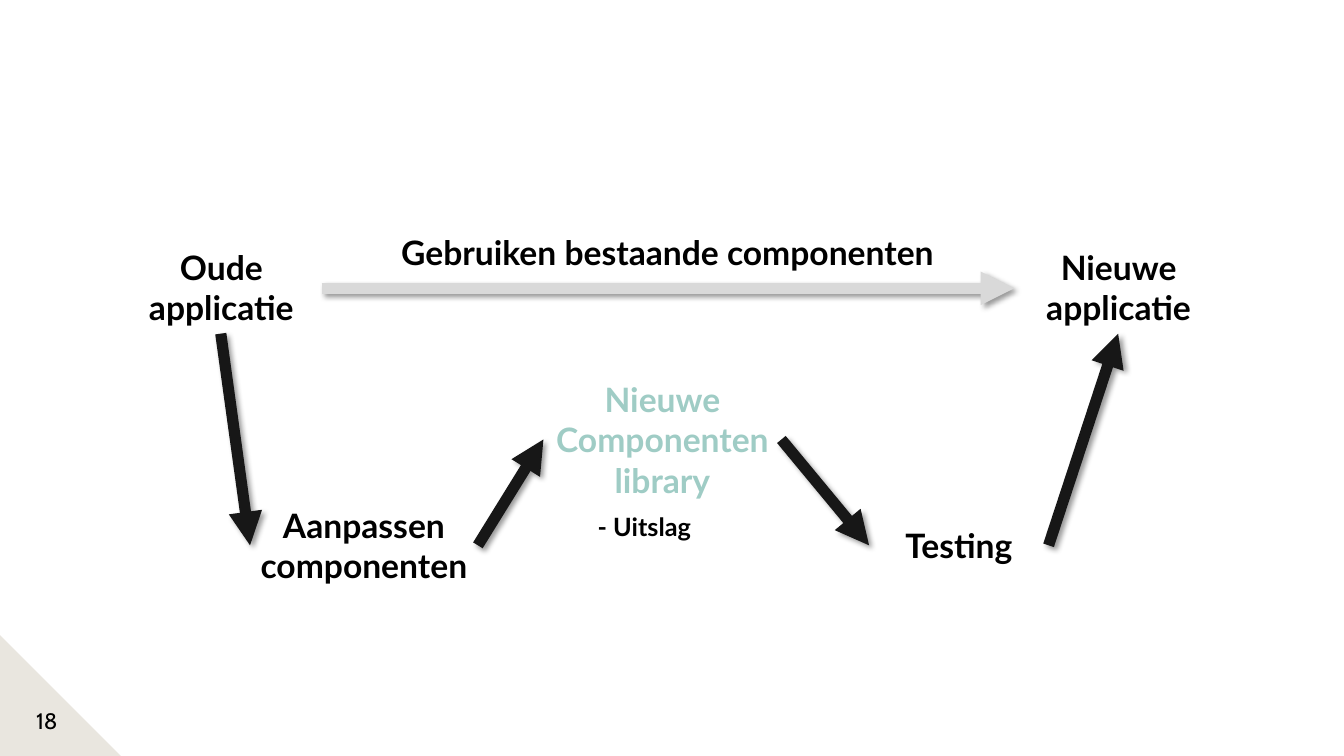
from lxml.etree import SubElement
from pptx import Presentation
from pptx.dml.color import RGBColor
from pptx.enum.shapes import MSO_CONNECTOR, MSO_SHAPE
from pptx.enum.text import MSO_ANCHOR, PP_ALIGN
from pptx.oxml.ns import qn
from pptx.util import Inches, Pt

COLORS = {
    "background": "FFFFFF",
    "text": "000000",
    "accent": "9FCCC5",
    "corner": "E9E6DF",
    "direct_route": "D9D9D9",
    "detour": "171717",
    "shadow": "000000",
}


def rgb(name):
    return RGBColor.from_string(COLORS[name])


class DiagramSlide:
    """Holds the shared style and the slide being drawn."""

    font_name = "Lato"
    label_size = 24
    arrow_width = 8

    def __init__(self, presentation):
        self.slide = presentation.slides.add_slide(presentation.slide_layouts[6])
        self.slide.background.fill.solid()
        self.slide.background.fill.fore_color.rgb = rgb("background")

    def corner(self, left, top, size):
        shape = self.slide.shapes.add_shape(
            MSO_SHAPE.RIGHT_TRIANGLE, Inches(left), Inches(top), Inches(size), Inches(size))
        shape.shadow.inherit = False
        shape.fill.solid()
        shape.fill.fore_color.rgb = rgb("corner")
        shape.line.fill.background()

    def label(self, text, box, color="text", size=label_size, align=PP_ALIGN.CENTER,
              font_name=font_name, bold=True, anchor=MSO_ANCHOR.TOP):
        """Add a text box; each line of text becomes a paragraph."""
        shape = self.slide.shapes.add_textbox(*(Inches(length) for length in box))
        text_frame = shape.text_frame
        text_frame.word_wrap = True
        text_frame.vertical_anchor = anchor
        text_frame.text = text
        for paragraph in text_frame.paragraphs:
            paragraph.alignment = align
            for run in paragraph.runs:
                run.font.name = font_name
                run.font.size = Pt(size)
                run.font.bold = bold
                run.font.color.rgb = rgb(color)

    def arrow(self, start, end, color="detour"):
        connector = self.slide.shapes.add_connector(
            MSO_CONNECTOR.STRAIGHT, *(Inches(length) for length in start + end))
        connector.line.width = Pt(self.arrow_width)
        connector.line.color.rgb = rgb(color)
        SubElement(connector.line._get_or_add_ln(), qn("a:tailEnd"), type="triangle")
        self.add_shadow(connector)

    def add_shadow(self, connector):
        effects = SubElement(connector._element.spPr, qn("a:effectLst"))
        shadow = SubElement(
            effects, qn("a:outerShdw"), blurRad=str(Pt(4)), dist=str(Pt(3)),
            dir=str(45 * 60000), algn="tl", rotWithShape="0")
        shadow_color = SubElement(shadow, qn("a:srgbClr"), val=COLORS["shadow"])
        SubElement(shadow_color, qn("a:alpha"), val="40000")


def main():
    presentation = Presentation()
    presentation.slide_width = Inches(13.33)
    presentation.slide_height = Inches(7.5)
    diagram = DiagramSlide(presentation)

    diagram.corner(0, 6.3, 1.2)

    diagram.label("Oude applicatie", (1.2, 2.4, 1.99, 0.91))
    diagram.label("Nieuwe\napplicatie", (10.06, 2.4, 2.07, 0.91))
    diagram.arrow((3.19, 2.86), (10.06, 2.86), "direct_route")
    diagram.label("Aanpassen componenten", (2.48, 4.96, 2.26, 0.91))
    diagram.label("Nieuwe\nComponenten library", (5.39, 3.71, 2.36, 1.31), "accent")
    diagram.label("Testing", (8.62, 5.16, 1.78, 0.5))
    diagram.label("Gebruiken bestaande componenten", (3.67, 2.25, 5.9, 0.5))

    application_y, library_y, step_y = 3.31, 4.36, 5.41
    detour = [
        ((2.19, application_y), (2.48, step_y)),
        ((4.74, step_y), (5.39, library_y)),
        ((7.75, library_y), (8.62, step_y)),
        ((10.4, step_y), (11.09, application_y)),
    ]
    for start, end in detour:
        diagram.arrow(start, end)

    diagram.label("- Uitslag", (5.83, 5.02, 1.45, 0.4), size=18, align=PP_ALIGN.LEFT)
    diagram.label("18", (0, 6.95, 0.67, 0.4), size=16, align=PP_ALIGN.RIGHT,
                  font_name="Cabin", bold=False, anchor=MSO_ANCHOR.MIDDLE)

    presentation.save("out.pptx")


if __name__ == "__main__":
    main()
